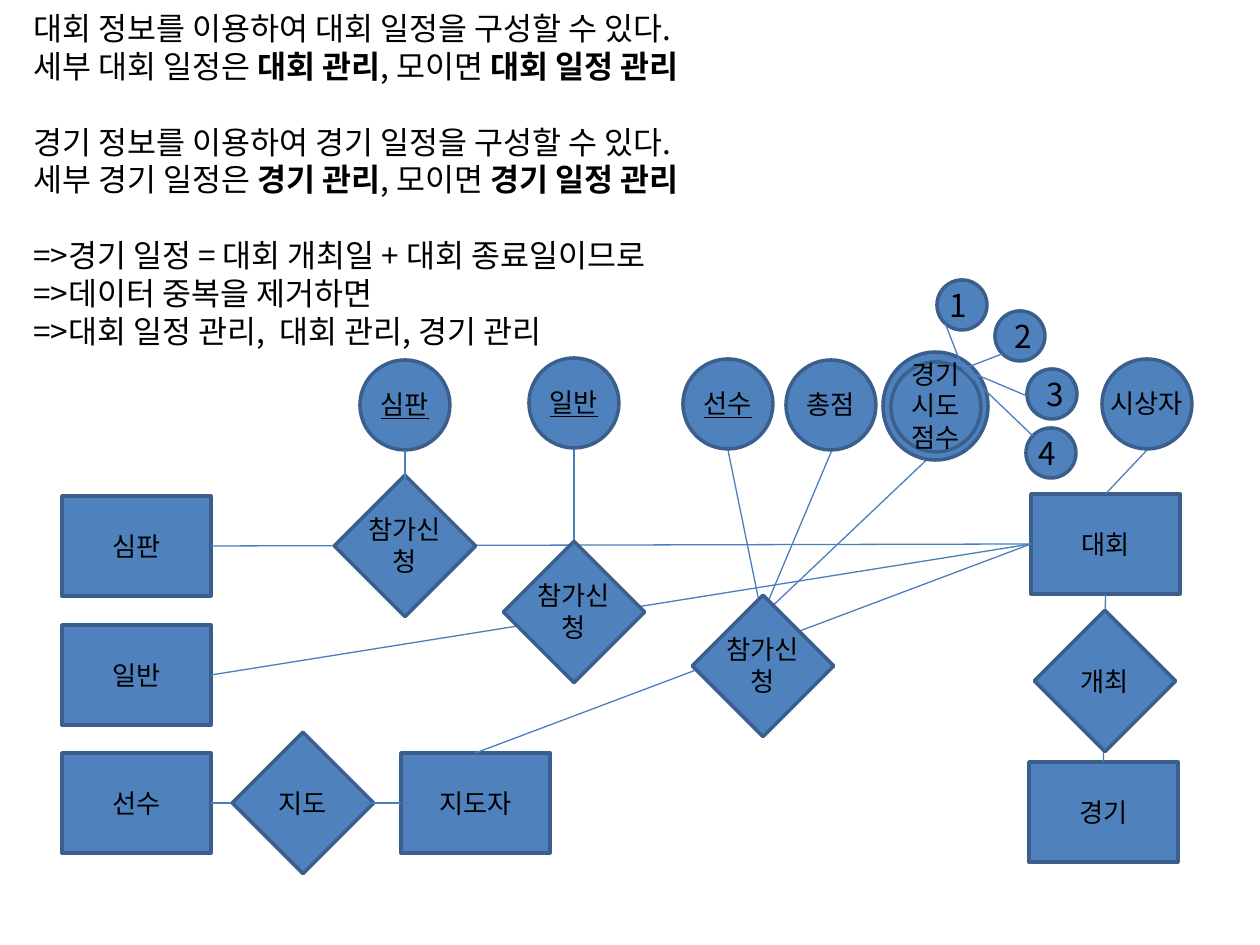
from pptx import Presentation
from pptx.dml.color import RGBColor
from pptx.enum.shapes import MSO_CONNECTOR as Link, MSO_SHAPE as Kind
from pptx.enum.text import MSO_ANCHOR as Anchor, PP_ALIGN as Align
from pptx.oxml.ns import qn
from pptx.util import Pt
from lxml.etree import SubElement

FONT = "Noto Sans CJK KR"
FILL, EDGE, WIRE, INK = "4F81BD", "3A5F8C", "4B7EBC", "000000"

INTRO = [
    (0, ["대회 정보를 이용하여 대회 일정을 구성할 수 있다."]),
    (0, ["세부 대회 일정은 ", "대회 관리", ", 모이면 ", "대회 일정 관리"]),
    (1, ["경기 정보를 이용하여 경기 일정을 구성할 수 있다."]),
    (0, ["세부 경기 일정은 ", "경기 관리", ", 모이면 ", "경기 일정 관리"]),
    (1, ["=>경기 일정 = 대회 개최일 + 대회 종료일이므로"]),
    (0, ["=>데이터 중복을 제거하면"]),
    (0, ["=>대회 일정 관리,  대회 관리, 경기 관리"]),
]
BOXES = [("심판", 62, 496), ("일반", 62, 625), ("선수", 62, 753),
         ("지도자", 401, 753), ("대회", 1031, 494), ("경기", 1029, 762)]
GEMS = [("지도", 253, 753, 44), ("참가신청", 355, 496, 77),
        ("참가신청", 524, 562, 77), ("참가신청", 713, 616, 77),
        ("개최", 1055, 631, 44)]
RINGS = [("심판", 360, 360, True), ("일반", 529, 358, True),
         ("선수", 683, 359, True), ("총점", 786, 360, False),
         ("시상자", 1102, 359, False)]
DOTS = [("1", 937, 280), ("2", 995, 311), ("3", 1027, 369), ("4", 1026, 428)]


def px(n):
    return round(n * 914400 / 126)


def color(code):
    return RGBColor.from_string(code)


def write(para, text, size, bold=False, under=False):
    run = para.add_run()
    run.text = text
    font = run.font
    font.size, font.name = Pt(size), FONT
    font.bold, font.underline = bold, under
    font.color.rgb = color(INK)
    SubElement(font._element, qn("a:ea")).set("typeface", FONT)
    para.line_spacing = Pt(size * 1.2)


def frame(slide, x, y, w, h):
    body = slide.shapes.add_textbox(px(x), px(y), px(w), px(h)).text_frame
    body.word_wrap = True
    return body


def label(slide, text, mid, w, h, under=False):
    x, y = mid
    para = frame(slide, x - w / 2, y - h / 2, w, h).paragraphs[0]
    para.alignment = Align.CENTER
    write(para, text, 15, under=under)


def block(slide, kind, x, y, w, h, turn=0):
    shape = slide.shapes.add_shape(kind, px(x), px(y), px(w), px(h))
    shape.shadow.inherit = False
    shape.fill.solid()
    shape.fill.fore_color.rgb = color(FILL)
    shape.line.color.rgb = color(EDGE)
    shape.line.width = Pt(2)
    shape.rotation = turn
    return shape


def wire(slide, a, b, start=None, end=None):
    line = slide.shapes.add_connector(Link.STRAIGHT, *map(px, a + b))
    line.line.color.rgb = color(WIRE)
    line.line.width = Pt(0.75)
    SubElement(line._element.spPr, qn("a:effectLst"))
    if start:
        line.begin_connect(*start)
    if end:
        line.end_connect(*end)


def intro(slide):
    body = frame(slide, 21, 3, 827, 357)
    for i, (gap, parts) in enumerate(INTRO):
        para = body.add_paragraph() if i else body.paragraphs[0]
        para.space_before = Pt(21.6 * gap)
        for j, part in enumerate(parts):
            write(para, part, 18, bold=j % 2 == 1)


def box(slide, text, x, y):
    shape = block(slide, Kind.RECTANGLE, x, y, 149, 100)
    label(slide, text, (x + 75, y + 50), 110, 44)
    return shape


def gem(slide, text, x, y, high):
    block(slide, Kind.RECTANGLE, x, y, 100, 100, 45)
    label(slide, text, (x + 50, y + 50), 100, high)


def ring(slide, text, x, y, under):
    block(slide, Kind.OVAL, x, y, 90, 90)
    label(slide, text, (x + 45, y + 44), 110, 44, under)


def score(slide):
    block(slide, Kind.OVAL, 883, 352, 105, 108)
    block(slide, Kind.OVAL, 891, 362, 90, 90)
    label(slide, "경기시도점수", (936, 406), 90, 108)


def dot(slide, text, x, y):
    shape = block(slide, Kind.OVAL, x, y, 50, 50)
    if text in "23":
        body = shape.text_frame
        body.vertical_anchor = Anchor.MIDDLE
        body.paragraphs[0].alignment = Align.CENTER
    else:
        body = frame(slide, x, y, 50, 50)
    write(body.paragraphs[0], text, 18)


def main():
    deck = Presentation()
    deck.slide_width, deck.slide_height = px(1260), px(945)
    slide = deck.slides.add_slide(deck.slide_layouts[6])
    intro(slide)
    judge, guest, player, coach, meet, game = [box(slide, *b) for b in BOXES]

    hub = (1031, 544)
    wire(slide, (211, 546), hub, (judge, 3), (meet, 1))
    wire(slide, (211, 675), hub, (guest, 3), (meet, 1))
    wire(slide, (476, 753), hub, (coach, 0), (meet, 1))
    wire(slide, (1105, 594), (1104, 762), (meet, 2), (game, 0))
    wire(slide, (211, 803), (251, 803), (player, 3))
    wire(slide, (1105, 494), (1148, 449), (meet, 0))
    wire(slide, (574, 447), (574, 562))
    for end in [(728, 450), (832, 450), (936, 451)]:
        wire(slide, (762, 616), end)

    for item in GEMS:
        gem(slide, *item)
    for item in RINGS:
        ring(slide, *item)
    score(slide)
    for item in DOTS:
        dot(slide, *item)

    wire(slide, (365, 803), (401, 803), end=(coach, 1))
    wire(slide, (405, 450), (405, 496))
    for end in [(945, 323), (1002, 354), (1027, 396), (1033, 436)]:
        wire(slide, (963, 369), end)
    deck.save("out.pptx")


if __name__ == "__main__":
    main()
